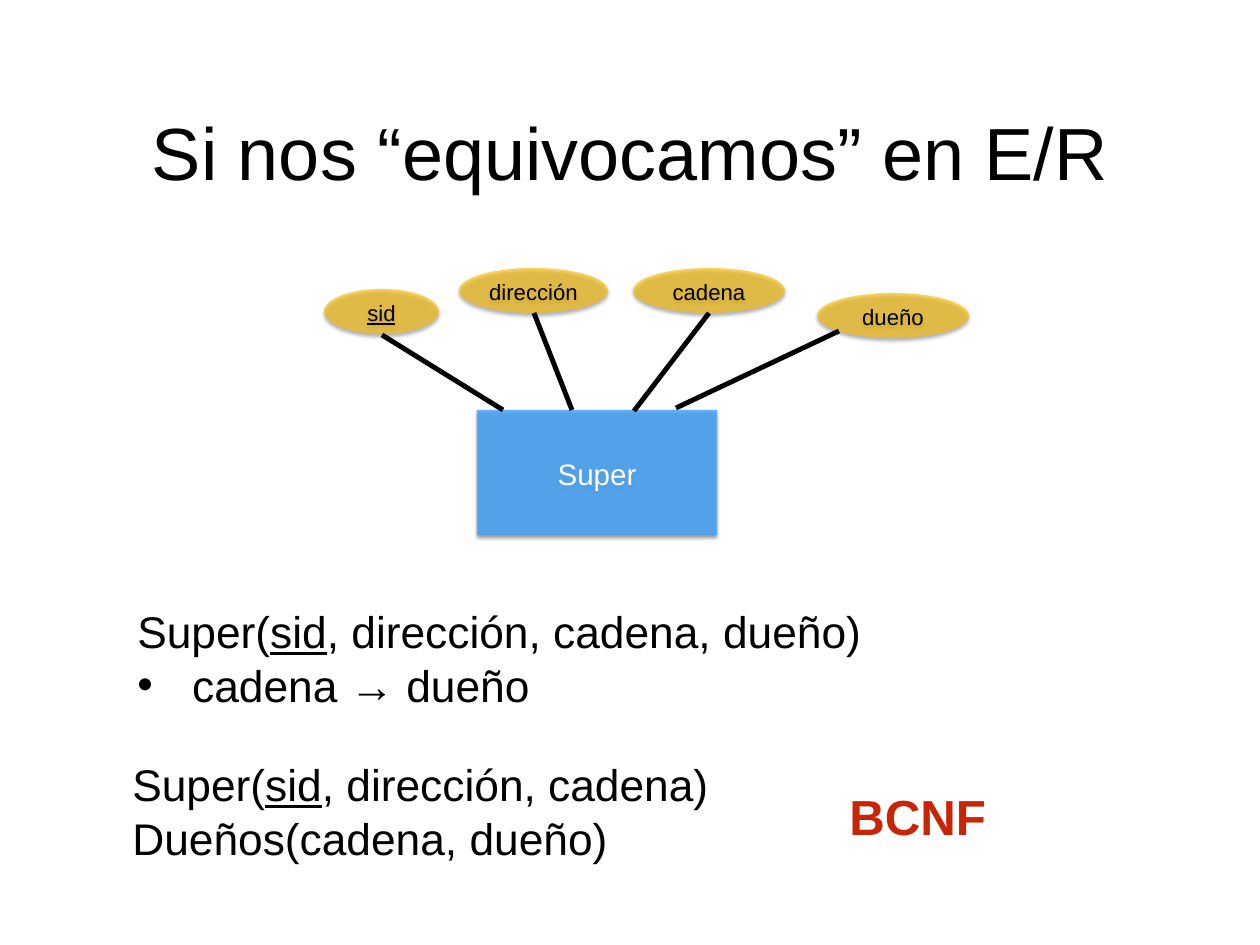
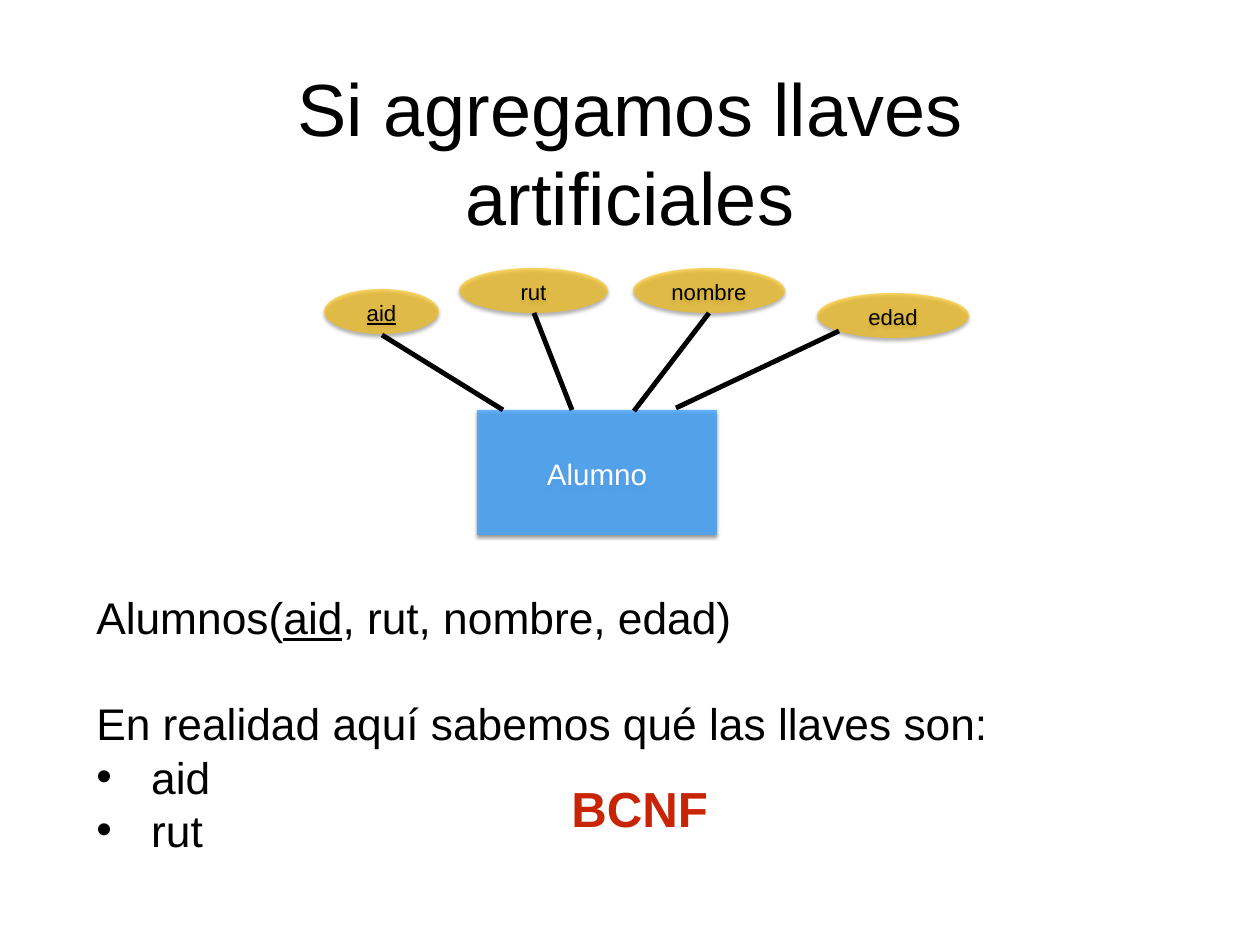
from lxml import etree
from pptx import Presentation
from pptx import util as u
from pptx.dml.color import RGBColor
from pptx.enum import shapes, text
from pptx.oxml.ns import qn

PX = 914400 / 88.6
FONT = "Arial"
BLACK, WHITE, RED = "000000", "FFFFFF", "C82506"
BLUE, GOLD = "42A3FD", "FFC000"
BOX = (477, 410, 240, 125)
OVALS = [(324, 289, 115, 45), (459, 268, 149, 45),
         (633, 268, 152, 45), (817, 293, 152, 45)]
LINES = [(382, 335, 503, 410), (534, 313, 572, 410),
         (709, 313, 634, 411), (839, 331, 676, 408)]
KIND = shapes.MSO_SHAPE


def px(*nums):
    return [u.Emu(round(n * PX)) for n in nums]


def tint(hue):
    return RGBColor.from_string(hue)


def child(node, tag, **attrs):
    return etree.SubElement(node, qn(tag), attrs)


def write(shape, lines, size, hue, align, bold=False):
    frame = shape.text_frame
    frame.word_wrap = True
    frame.auto_size = text.MSO_AUTO_SIZE.NONE
    frame.vertical_anchor = text.MSO_ANCHOR.MIDDLE
    inset = u.Inches(0.06)
    frame.margin_left = frame.margin_right = frame.margin_bottom = inset
    frame.margin_top = inset + u.Pt(size * 0.1)
    gap = False
    first = True
    for line in lines:
        if line is None:
            gap = True
            continue
        para = frame.paragraphs[0] if first else frame.add_paragraph()
        first = False
        if line.startswith("•"):
            line = line[1:]
            bullet(para)
        para.alignment = align
        para.line_spacing = u.Pt(size * 1.2)
        para.space_before = u.Pt(size * 1.2 if gap else 0)
        gap = False
        font = para.font
        font.name, font.size, font.bold = FONT, u.Pt(size), bold
        font.color.rgb = tint(hue)
        for num, part in enumerate(line.split("_")):
            if part:
                run = para.add_run()
                run.text = part
                if num % 2:
                    run.font.underline = True


def bullet(para):
    props = para._p.get_or_add_pPr()
    props.set("marL", str(u.Inches(0.62)))
    props.set("indent", str(-u.Inches(0.62)))
    child(props, "a:buFont", typeface=FONT)
    child(props, "a:buChar", char="•")


def title(slide, words, left, width):
    shape = slide.shapes.title
    shape.left, shape.top, shape.width, shape.height = px(left, 98, width, 99)
    write(shape, [words], 60, BLACK, text.PP_ALIGN.CENTER)


def node(slide, kind, place, label, fill, alpha, size, hue):
    shape = slide.shapes.add_shape(kind, *px(*place))
    shape.fill.solid()
    shape.fill.fore_color.rgb = tint(fill)
    shape.line.fill.background()
    shape.shadow.inherit = False
    props = shape._element.spPr
    solid = props.find(qn("a:solidFill"))
    child(solid[0], "a:alpha", val=str(alpha * 1000))
    drop = child(props.find(qn("a:effectLst")), "a:outerShdw",
                 blurRad=str(u.Pt(3)), dist=str(u.Pt(2)),
                 dir="5400000", rotWithShape="0")
    shade = child(drop, "a:srgbClr", val=BLACK)
    child(shade, "a:alpha", val="49000")
    write(shape, [label], size, hue, text.PP_ALIGN.CENTER)


def link(slide, ends):
    line = slide.shapes.add_connector(shapes.MSO_CONNECTOR.STRAIGHT, *px(*ends))
    line.line.color.rgb = tint(BLACK)
    line.line.width = u.Pt(4)
    child(line._element.spPr, "a:effectLst")


def note(slide, place, lines, size=36, hue=BLACK, bold=False):
    shape = slide.shapes.add_textbox(*px(*place))
    write(shape, lines, size, hue, text.PP_ALIGN.JUSTIFY, bold)


def graph(slide, name, fields):
    node(slide, KIND.RECTANGLE, BOX, name, BLUE, 80, 24, WHITE)
    for place, field in zip(OVALS, fields):
        node(slide, KIND.OVAL, place, field, GOLD, 60, 18, BLACK)
    for ends in LINES:
        link(slide, ends)


def page(deck, head, left, width, name, fields, notes, badge):
    slide = deck.slides.add_slide(deck.slide_layouts[5])
    title(slide, head, left, width)
    graph(slide, name, fields)
    for place, lines in notes:
        note(slide, place, lines)
    note(slide, badge, ["BCNF"], 40, RED, True)


def main():
    deck = Presentation()
    deck.slide_width, deck.slide_height = px(1260, 945)
    page(deck, "Si nos “equivocamos” en E/R", 0, 1260,
         "Super", ["_sid_", "dirección", "cadena", "dueño"],
         [((132, 597, 1086, 117),
           ["Super(_sid_, dirección, cadena, dueño)", "•cadena → dueño"]),
          ((127, 750, 1086, 117),
           ["Super(_sid_, dirección, cadena)", "Dueños(cadena, dueño)"])],
         (844, 778, 289, 70))
    page(deck, "Si agregamos llaves artificiales", 138, 984,
         "Alumno", ["_aid_", "rut", "nombre", "edad"],
         [((91, 582, 1086, 278),
           ["Alumnos(_aid_, rut, nombre, edad)", None,
            "En realidad aquí sabemos qué las llaves son:",
            "•aid", "•rut"])],
         (566, 770, 211, 70))
    deck.save("out.pptx")


if __name__ == "__main__":
    main()
